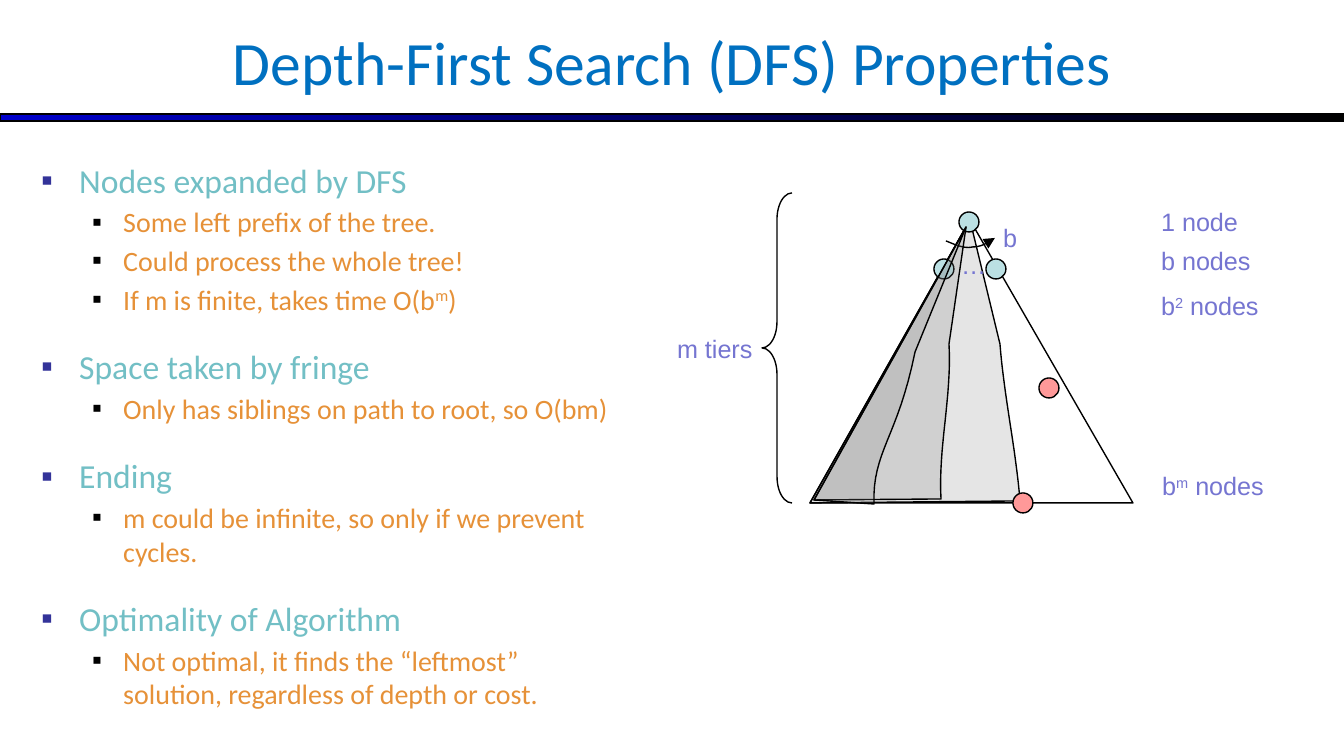
import pptx
import pptx.dml.color
import pptx.enum.dml
import pptx.enum.shapes
import pptx.enum.text
import pptx.oxml.ns
import pptx.util
from lxml import etree

PX = 914400 / 134.4
COLORS = {
    "title": "0070C0", "heading": "72BFC5", "detail": "E69138", "label": "7575D1",
    "heading_bullet": "333399", "black": "000000", "bar_start": "0000CC",
    "node": "BBE0E3", "goal": "FF9999", "explored": "808080",
}
SHAPES = pptx.enum.shapes.MSO_SHAPE
ANCHOR = pptx.enum.text.MSO_ANCHOR
ALIGN = pptx.enum.text.PP_ALIGN


def emu(px):
    return pptx.util.Emu(round(px * PX))


def rgb(name):
    return pptx.dml.color.RGBColor.from_string(COLORS[name])


def curve(start, control_1, control_2, end, steps=16):
    """Points along a cubic Bezier curve, without its start."""
    points = []
    for step in range(1, steps + 1):
        t = step / steps
        weights = ((1 - t) ** 3, 3 * t * (1 - t) ** 2, 3 * t ** 2 * (1 - t), t ** 3)
        corners = (start, control_1, control_2, end)
        points.append(tuple(sum(w * c[axis] for w, c in zip(weights, corners)) for axis in (0, 1)))
    return points


class SlideBuilder:
    def __init__(self, slide):
        self.slide = slide

    def child(self, parent, tag, **attributes):
        return etree.SubElement(parent, pptx.oxml.ns.qn(tag), **attributes)

    def finish(self, shape, fill=None, opacity=None):
        shape.shadow.inherit = False
        shape.line.color.rgb = rgb("black")
        shape.line.width = pptx.util.Pt(0.75)
        if fill is None:
            shape.fill.background()
            return shape
        shape.fill.solid()
        shape.fill.fore_color.rgb = rgb(fill)
        if opacity is not None:
            color = shape.fill._xPr.find(".//" + pptx.oxml.ns.qn("a:srgbClr"))
            self.child(color, "a:alpha", val=str(opacity * 1000))
        return shape

    def preset(self, kind, left, top, width, height, fill=None):
        shape = self.slide.shapes.add_shape(kind, emu(left), emu(top), emu(width), emu(height))
        return self.finish(shape, fill)

    def gradient_bar(self, left, top, width, height):
        bar = self.preset(SHAPES.RECTANGLE, left, top, width, height)
        bar.fill.gradient()
        bar.fill.gradient_angle = 0
        for stop, position, color in zip(bar.fill.gradient_stops, (0, 1), ("bar_start", "black")):
            stop.position = position
            stop.color.rgb = rgb(color)

    def circle(self, left, top, fill):
        self.preset(SHAPES.OVAL, left, top, 20, 20, fill)

    def outline(self, points, close=True, fill=None, opacity=None):
        scaled = [(emu(x), emu(y)) for x, y in points]
        builder = self.slide.shapes.build_freeform(*scaled[0])
        builder.add_line_segments(scaled[1:], close=close)
        return self.finish(builder.convert_to_shape(), fill, opacity)

    def explored(self, left_corner, right_corner, control_1, control_2, bend, apex):
        edge = curve(right_corner, control_1, control_2, bend)
        self.outline([left_corner, right_corner, *edge, apex], fill="explored", opacity=20)

    def arc_arrow(self, points):
        arc = self.outline(points, close=False)
        self.child(arc.line._get_or_add_ln(), "a:tailEnd", type="triangle")

    def text_frame(self, left, top, width, height, anchor=ANCHOR.TOP):
        box = self.slide.shapes.add_textbox(emu(left), emu(top), emu(width), emu(height))
        box.text_frame.word_wrap = True
        box.text_frame.vertical_anchor = anchor
        return box.text_frame

    def runs(self, paragraph, parts, size, font, color):
        """Every second part is a superscript."""
        for index, part in enumerate(parts):
            run = paragraph.add_run()
            run.text = part
            run.font.size = pptx.util.Pt(size)
            run.font.name = font
            run.font.color.rgb = rgb(color)
            if index % 2:
                run.font._element.set("baseline", "30000")

    def title(self, text, left, top, width, height):
        paragraph = self.text_frame(left, top, width, height, ANCHOR.MIDDLE).paragraphs[0]
        paragraph.alignment = ALIGN.CENTER
        self.runs(paragraph, [text], 33, "Calibri", "title")

    def label(self, parts, left, top, width, height=44):
        paragraph = self.text_frame(left, top, width, height).paragraphs[0]
        self.runs(paragraph, parts, 13.5, "Arial", "label")

    def bullet(self, paragraph, parts, margin, indent, size, color, bullet_color, before):
        properties = paragraph._p.get_or_add_pPr()
        properties.set("marL", str(emu(margin)))
        properties.set("indent", str(-emu(indent)))
        paragraph.space_before = pptx.util.Pt(before)
        holder = self.child(properties, "a:buClr")
        self.child(holder, "a:srgbClr", val=COLORS[bullet_color])
        self.child(properties, "a:buFont", typeface="Arial")
        self.child(properties, "a:buChar", char="▪")
        self.runs(paragraph, parts, size, "Calibri", color)

    def outline_list(self, sections, left, top, width, height):
        frame = self.text_frame(left, top, width, height)
        for index, (heading, details) in enumerate(sections):
            paragraph = frame.add_paragraph() if index else frame.paragraphs[0]
            self.bullet(paragraph, [heading], 38, 38, 18, "heading", "heading_bullet",
                        16.2 if index else 0)
            for parts in details:
                self.bullet(frame.add_paragraph(), parts, 82, 31, 15, "detail", "black", 2.7)


def main():
    presentation = pptx.Presentation()
    presentation.slide_width, presentation.slide_height = emu(1344), emu(756)
    builder = SlideBuilder(presentation.slides.add_slide(presentation.slide_layouts[6]))

    # Title and rule
    builder.gradient_bar(0, 114, 1344, 7)
    builder.title("Depth-First Search (DFS) Properties", 0, -3, 1344, 127)

    # Search tree with its widest explored part
    left_corner, apex = (810, 503), (970, 220)
    builder.explored(left_corner, (1020, 501), (1016, 450), (1004, 396), (1000, 344), apex)
    builder.outline([left_corner, (1133, 503), apex])
    for left, top in ((959, 212), (934, 259), (986, 259)):
        builder.circle(left, top, "node")
    builder.label(["…"], 948, 243, 31)

    # Branching arrow
    start, middle = (946, 241), (973, 247)
    builder.arc_arrow([start, *curve(start, (956, 245), (964, 249), middle),
                       *curve(middle, (981, 247), (988, 243), (995, 238))])
    builder.label(["b"], 990, 216, 32)

    # Tier sizes
    builder.label(["1 node"], 1148, 200, 124)
    builder.label(["b nodes"], 1148, 239, 124)
    builder.label(["b", "2", " nodes"], 1148, 284, 124, 75)
    builder.label(["b", "m", " nodes"], 1149, 464, 161)
    builder.circle(1013, 493, "goal")

    # Depth brace
    brace = builder.preset(SHAPES.LEFT_BRACE, 762, 193, 30, 310)
    brace.adjustments[0], brace.adjustments[1] = 0.88, 0.5
    builder.label(["m tiers"], 664, 327, 140)

    # Properties
    builder.outline_list([
        ("Nodes expanded by DFS", [
            ["Some left prefix of the tree."],
            ["Could process the whole tree!"],
            ["If m is finite, takes time O(b", "m", ")"]]),
        ("Space taken by fringe", [["Only has siblings on path to root, so O(bm)"]]),
        ("Ending", [["m could be infinite, so only if we prevent cycles."]]),
        ("Optimality of Algorithm", [
            ["Not optimal, it finds the “leftmost” solution, regardless of depth or cost."]]),
    ], 28, 153, 602, 521)

    # Narrower explored parts and the second goal
    left_corner, apex = (814, 500), (966, 227)
    builder.explored(left_corner, (941, 499), (938, 448), (952, 396), (949, 344), apex)
    builder.explored(left_corner, (874, 504), (872, 452), (898, 437), (915, 352), apex)
    builder.circle(1039, 378, "goal")

    presentation.save("out.pptx")


if __name__ == "__main__":
    main()
